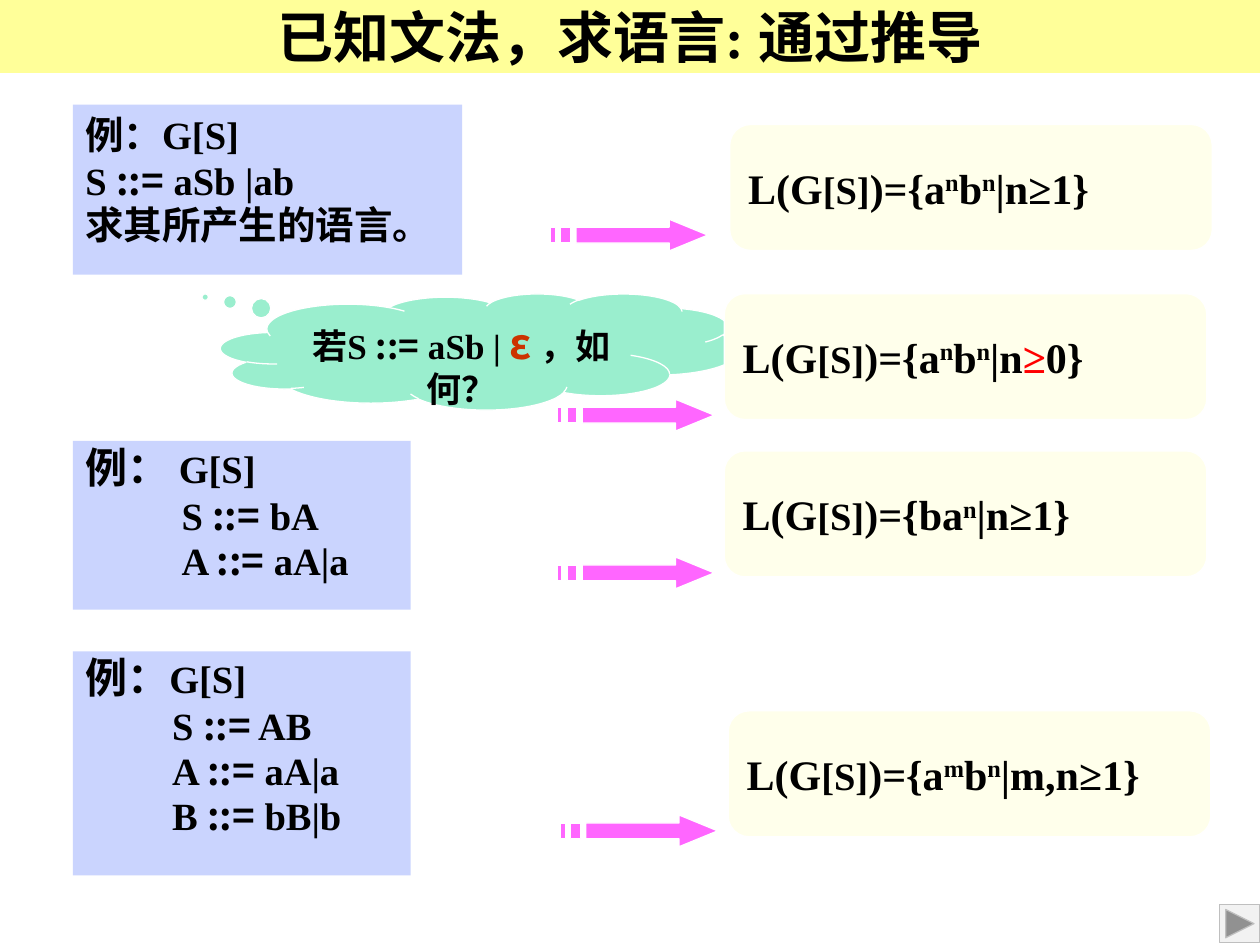
from dataclasses import dataclass

from lxml.etree import SubElement
from pptx import Presentation
from pptx.dml.color import RGBColor
from pptx.enum.shapes import MSO_SHAPE
from pptx.enum.text import MSO_ANCHOR, MSO_AUTO_SIZE, PP_ALIGN
from pptx.oxml import parse_xml
from pptx.oxml.ns import nsdecls, qn
from pptx.util import Cm, Pt


@dataclass(frozen=True)
class Theme:
    """Colours, fonts and type sizes of the slide."""

    banner: str = "FFFF99"
    grammar: str = "CAD4FE"
    language: str = "FFFFEB"
    cloud: str = "9AEECE"
    arrow: str = "FF66FF"
    button: str = "F2F2F2"
    button_line: str = "BFBFBF"
    edge: str = "FFFFFF"
    text: str = "000000"
    epsilon: str = "CC3300"
    changed: str = "FF0000"
    latin: str = "Times New Roman"
    chinese: str = "Noto Sans CJK SC"
    title_size: int = 32
    large: int = 24
    medium: int = 22
    small: int = 20


class GrammarSlide:
    """Draws the elements of one slide in one theme."""

    ARROW_PARTS = (
        ((2.39, 0), (2.39, 0.16), (0.51, 0.16), (0.51, 0.48),
         (2.39, 0.48), (2.39, 0.64), (3.17, 0.32)),
        ((0.2, 0.16), (0.2, 0.48), (0.4, 0.48), (0.4, 0.16)),
        ((0, 0.16), (0, 0.48), (0.1, 0.48), (0.1, 0.16)),
    )

    def __init__(self, presentation, theme):
        """Add a title-only slide to the presentation."""
        self.theme = theme
        self.slide = presentation.slides.add_slide(presentation.slide_layouts[5])

    def paint(self, shape, fill, line=None):
        """Give a shape a flat fill and an optional thin line."""
        shape.fill.solid()
        shape.fill.fore_color.rgb = RGBColor.from_string(fill)
        if line:
            shape.line.color.rgb = RGBColor.from_string(line)
            shape.line.width = Pt(0.75)
        else:
            shape.line.fill.background()

    def add_shape(self, kind, box, fill, line=None):
        """Add a preset shape without a shadow."""
        shape = self.slide.shapes.add_shape(kind, *map(Cm, box))
        shape.shadow.inherit = False
        self.paint(shape, fill, line)
        return shape

    def style_run(self, run, size, color=None, font=None, raised=False):
        """Format one run."""
        run.font.size = Pt(size)
        run.font.bold = True
        run.font.name = font or self.theme.latin
        run.font.color.rgb = RGBColor.from_string(color or self.theme.text)
        properties = run._r.get_or_add_rPr()
        SubElement(properties, qn("a:ea")).set("typeface", self.theme.chinese)
        if raised:
            properties.set("baseline", "30000")

    def add_runs(self, paragraph, *parts):
        """Add (text, size, options) parts as runs of a paragraph."""
        for text, size, *options in parts:
            run = paragraph.add_run()
            run.text = text
            self.style_run(run, size, **(options[0] if options else {}))

    def title(self, text, box):
        """Turn the title placeholder into a rounded banner."""
        shape = self.slide.shapes.title
        shape.left, shape.top, shape.width, shape.height = map(Cm, box)
        shape._element.spPr.insert(1, parse_xml(
            f'<a:prstGeom {nsdecls("a")} prst="roundRect"><a:avLst/></a:prstGeom>'))
        self.paint(shape, self.theme.banner)
        frame = shape.text_frame
        frame.text = text
        frame.auto_size = MSO_AUTO_SIZE.NONE
        frame.word_wrap = False
        frame.vertical_anchor = MSO_ANCHOR.MIDDLE
        frame.paragraphs[0].alignment = PP_ALIGN.CENTER
        self.style_run(frame.paragraphs[0].runs[0], self.theme.title_size)

    def grammar(self, box, label, label_size, lines, indent=0):
        """Add a box with a labelled grammar and its lines."""
        frame = self.add_shape(MSO_SHAPE.RECTANGLE, box, self.theme.grammar).text_frame
        frame.word_wrap = True
        frame.auto_size = MSO_AUTO_SIZE.SHAPE_TO_FIT_TEXT
        frame.vertical_anchor = MSO_ANCHOR.TOP
        size = self.theme.medium
        heading = frame.paragraphs[0]
        heading.alignment = PP_ALIGN.LEFT
        if label_size > size:
            heading.line_spacing = 0.9
        self.add_runs(heading, (label, label_size), ("G[S]", size))
        for line in lines:
            paragraph = frame.add_paragraph()
            paragraph.alignment = PP_ALIGN.LEFT
            paragraph.line_spacing = 0.7
            paragraph.space_before = Pt(7)
            paragraph._p.get_or_add_pPr().set("marL", str(Cm(indent)))
            left, operator, right = line.partition("::=")
            self.add_runs(paragraph, (left, size))
            if operator:
                self.add_runs(paragraph, (operator, size, {"font": self.theme.chinese}),
                              (right, size))

    def cloud(self, box):
        """Add the cloud that asks about the empty string."""
        theme = self.theme
        shape = self.add_shape(MSO_SHAPE.CLOUD_CALLOUT, box, theme.cloud, theme.edge)
        shape.adjustments[0], shape.adjustments[1] = -0.53, -0.47
        frame = shape.text_frame
        frame.word_wrap = True
        frame.vertical_anchor = MSO_ANCHOR.TOP
        frame.paragraphs[0].alignment = PP_ALIGN.CENTER
        self.add_runs(
            frame.paragraphs[0],
            ("若S ", theme.small),
            ("::=", theme.small, {"font": theme.chinese}),
            (" aSb | ", theme.small),
            ("ε", theme.large, {"font": theme.chinese, "color": theme.epsilon}),
            (" ，如何？", theme.small))

    def language(self, position, *parts):
        """Add a box with the language that a grammar generates."""
        theme = self.theme
        shape = self.add_shape(MSO_SHAPE.FLOWCHART_ALTERNATE_PROCESS,
                               (*position, 9.73, 2.54), theme.language, theme.edge)
        frame = shape.text_frame
        frame.word_wrap = False
        frame.vertical_anchor = MSO_ANCHOR.MIDDLE
        frame.paragraphs[0].alignment = PP_ALIGN.LEFT
        self.add_runs(frame.paragraphs[0], ("L(G", theme.large), ("[S]", theme.medium),
                      *((text, theme.large, *options) for text, *options in parts))

    def arrow(self, left, top):
        """Add an arrow with a striped tail."""
        parts = [[(Cm(left + x), Cm(top + y)) for x, y in part]
                 for part in self.ARROW_PARTS]
        builder = self.slide.shapes.build_freeform(*parts[0][0])
        for index, (start, *rest) in enumerate(parts):
            if index:
                builder.move_to(*start)
            builder.add_line_segments(rest, close=True)
        shape = builder.convert_to_shape()
        shape.shadow.inherit = False
        self.paint(shape, self.theme.arrow, self.theme.edge)

    def next_button(self, box):
        """Add the forward button."""
        self.add_shape(MSO_SHAPE.ACTION_BUTTON_FORWARD_OR_NEXT, box,
                       self.theme.button, self.theme.button_line)


def main():
    """Build and save the slide."""
    presentation = Presentation()
    presentation.slide_width, presentation.slide_height = Cm(25.4), Cm(19.05)
    theme = Theme()
    slide = GrammarSlide(presentation, theme)
    slide.title("已知文法，求语言: 通过推导", (0, 0, 25.4, 1.47))

    slide.grammar((1.47, 2.11, 7.85, 3.43), "例：", theme.medium,
                  ("S ::= aSb |ab", "求其所产生的语言。"))
    slide.grammar((1.47, 8.89, 6.81, 3.4), "例： ", theme.large,
                  ("S ::= bA", "A ::= aA|a"), indent=1.94)
    slide.grammar((1.47, 13.13, 6.81, 4.52), "例：", theme.large,
                  ("S ::= AB", "A ::= aA|a", "B ::= bB|b"), indent=1.75)
    slide.cloud((4.45, 5.92, 10.46, 2.34))

    power = {"raised": True}
    a_n_b_n = ((")={a",), ("n", power), ("b",), ("n", power))
    results = (
        ((14.71, 2.51), (11.1, 4.42), (*a_n_b_n, ("|n≥1}",))),
        ((14.6, 5.92), (11.23, 8.05),
         (*a_n_b_n, ("|n",), ("≥", {"color": theme.changed}), ("0}",))),
        ((14.6, 9.09), (11.23, 11.23), ((")={ba",), ("n", power), ("|n≥1}",))),
        ((14.68, 14.33), (11.3, 16.43),
         ((")={a",), ("m", power), ("b",), ("n", power), ("|m,n≥1}",))),
    )
    for box_position, arrow_position, parts in results:
        slide.language(box_position, *parts)
        slide.arrow(*arrow_position)

    slide.next_button((24.59, 18.24, 0.81, 0.76))
    presentation.save("out.pptx")


if __name__ == "__main__":
    main()
